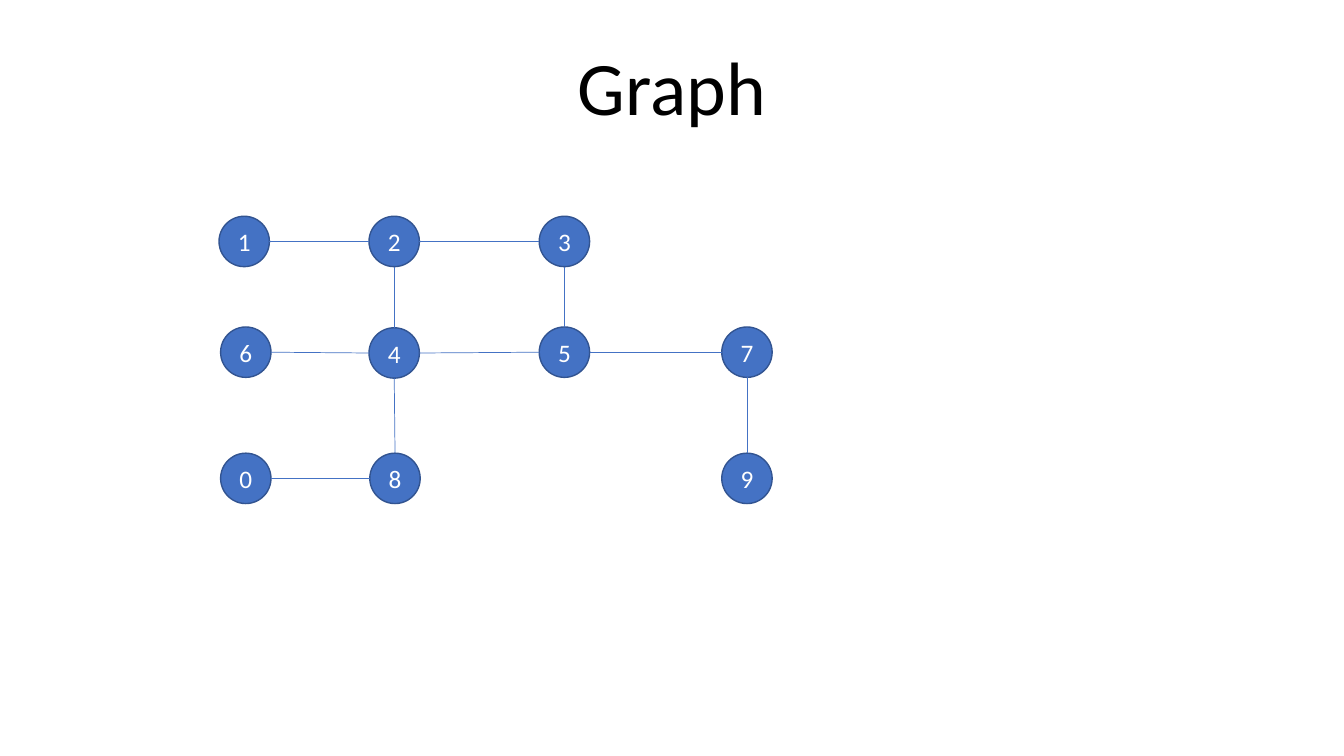
from typing import NamedTuple

from lxml import etree
from pptx import Presentation
from pptx.dml.color import RGBColor
from pptx.enum.shapes import MSO_CONNECTOR, MSO_SHAPE
from pptx.enum.text import MSO_ANCHOR, PP_ALIGN
from pptx.oxml.ns import qn
from pptx.util import Cm, Pt

CIRCLE = MSO_SHAPE.FLOWCHART_CONNECTOR
STRAIGHT = MSO_CONNECTOR.STRAIGHT
CENTER = PP_ALIGN.CENTER
MIDDLE, BOTTOM = MSO_ANCHOR.MIDDLE, MSO_ANCHOR.BOTTOM

FONT = "Calibri"
COLORS = {
    "title": "000000",
    "node": "4472C4",
    "outline": "325491",
    "label": "FFFFFF",
    "edge": "4472C4",
}

# Grid of the graph, in centimetres
COLUMNS = (5.56, 9.3, 13.59, 18.19)
ROWS = (5.45, 8.24, 11.42)
DIAMETER = 1.27
RADIUS = DIAMETER / 2


class Node(NamedTuple):
    label: str
    column: int
    row: int
    shift_x: float = 0
    shift_y: float = 0

    @property
    def left(self) -> float:
        return COLUMNS[self.column] + self.shift_x

    @property
    def top(self) -> float:
        return ROWS[self.row] + self.shift_y


class Edge(NamedTuple):
    start: str
    end: str


NODES = {
    node.label: node
    for node in (
        Node("1", 0, 0, shift_x=-0.04), Node("2", 1, 0), Node("3", 2, 0),
        Node("4", 1, 1, shift_y=0.02), Node("5", 2, 1), Node("6", 0, 1),
        Node("7", 3, 1), Node("8", 1, 2, shift_x=0.02), Node("9", 3, 2),
        Node("0", 0, 2),
    )
}

# Every edge runs rightwards or downwards
EDGES = [
    Edge(*pair)
    for pair in ("12", "24", "23", "35", "45", "64", "57", "79", "48", "08")
]


def color(name: str) -> RGBColor:
    return RGBColor.from_string(COLORS[name])


def write_text(box, text: str, *, size: float, color_name: str,
               anchor=MIDDLE, align=CENTER, spacing: float = 1.0) -> None:
    frame = box.text_frame
    frame.word_wrap = True
    frame.vertical_anchor = anchor
    para = frame.paragraphs[0]
    para.alignment = align
    para.line_spacing = spacing
    span = para.add_run()
    span.text = text
    span.font.name = FONT
    span.font.size = Pt(size)
    span.font.color.rgb = color(color_name)


def draw_node(page, node: Node) -> None:
    circle = page.shapes.add_shape(
        CIRCLE, Cm(node.left), Cm(node.top), Cm(DIAMETER), Cm(DIAMETER))
    circle.shadow.inherit = False
    circle.fill.solid()
    circle.fill.fore_color.rgb = color("node")
    circle.line.color.rgb = color("outline")
    circle.line.width = Pt(1)
    write_text(circle, node.label, size=18, color_name="label")


def draw_edge(page, edge: Edge) -> None:
    start, end = NODES[edge.start], NODES[edge.end]
    if start.row == end.row:
        points = (start.left + DIAMETER, start.top + RADIUS,
                  end.left, end.top + RADIUS)
    else:
        points = (start.left + RADIUS, start.top + DIAMETER,
                  end.left + RADIUS, end.top)
    line = page.shapes.add_connector(STRAIGHT, *(Cm(value) for value in points))
    line.line.color.rgb = color("edge")
    line.line.width = Pt(0.5)
    etree.SubElement(line._element.spPr, qn("a:effectLst"))


# Deck and page
deck = Presentation()
deck.slide_width, deck.slide_height = Cm(33.87), Cm(19.05)
page = deck.slides.add_slide(deck.slide_layouts[6])

# Title
title = page.shapes.add_textbox(Cm(4.23), Cm(1), Cm(25.4), Cm(2.46))
write_text(title, "Graph", size=54, color_name="title",
           anchor=BOTTOM, spacing=0.9)

# Graph
for node in NODES.values():
    draw_node(page, node)
for edge in EDGES:
    draw_edge(page, edge)

deck.save("out.pptx")
